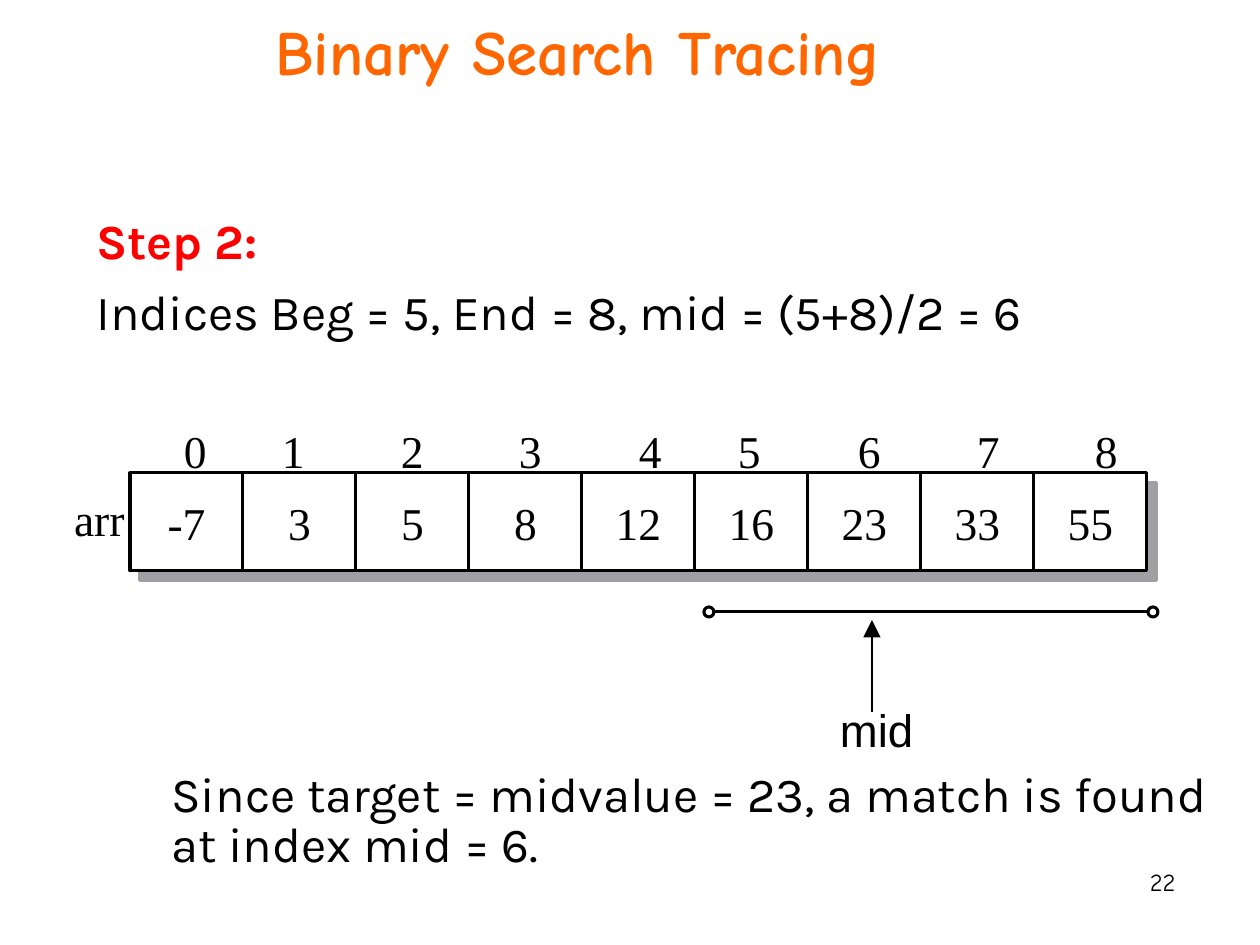
"""Build the slide that traces step 2 of a binary search."""
from lxml.etree import SubElement
from pptx import Presentation
from pptx.dml.color import RGBColor
from pptx.enum.shapes import MSO_CONNECTOR, MSO_SHAPE
from pptx.enum.text import MSO_ANCHOR, MSO_AUTO_SIZE, PP_ALIGN
from pptx.oxml.ns import qn
from pptx.util import Pt

PX = 914400 // 126
BLACK = RGBColor(0x00, 0x00, 0x00)
WHITE = RGBColor(0xFF, 0xFF, 0xFF)
GRAY = RGBColor(0xA0, 0xA0, 0xA4)
RED = RGBColor(0xFF, 0x00, 0x00)
ORANGE = RGBColor(0xFF, 0x66, 0x00)
LINE_WIDTH = Pt(1.75)


def add_run(paragraph, text, size, font_name, color=BLACK, bold=False):
    run = paragraph.add_run()
    run.text = text
    run.font.size = Pt(size)
    run.font.name = font_name
    run.font.color.rgb = color
    run.font.bold = bold


def add_text_frame(left, top, width, height, inset=True):
    box = slide.shapes.add_textbox(left * PX, top * PX, width * PX, height * PX)
    frame = box.text_frame
    frame.word_wrap = inset
    if not inset:
        frame.auto_size = MSO_AUTO_SIZE.SHAPE_TO_FIT_TEXT
        frame.margin_left = frame.margin_right = 0
        frame.margin_top = frame.margin_bottom = 0
    return frame


presentation = Presentation()
presentation.slide_width = 1260 * PX
presentation.slide_height = 945 * PX
slide = presentation.slides.add_slide(presentation.slide_layouts[5])

title = slide.shapes.title
title.left, title.top, title.width, title.height = 53 * PX, 21 * PX, 1050 * PX, 73 * PX
title.text_frame.vertical_anchor = MSO_ANCHOR.BOTTOM
title.text_frame.auto_size = MSO_AUTO_SIZE.NONE
paragraph = title.text_frame.paragraphs[0]
paragraph.alignment = PP_ALIGN.CENTER
add_run(paragraph, "Binary Search Tracing", 36, "Comic Neue", ORANGE, True)

step_frame = add_text_frame(84, 213, 1144, 135)
conclusion_frame = add_text_frame(63, 766, 1166, 113)
conclusion_frame.paragraphs[0]._p.get_or_add_pPr().set("marL", str(96 * PX))
for paragraph, text, color, bold in (
    (step_frame.paragraphs[0], "Step 2:", RED, True),
    (step_frame.add_paragraph(), "Indices Beg = 5, End = 8, mid = (5+8)/2 = 6", BLACK, False),
    (conclusion_frame.paragraphs[0],
     "Since target = midvalue = 23, a match is found at index mid = 6.", BLACK, False),
):
    paragraph.line_spacing = 0.85
    paragraph.space_before = Pt(12.2)
    add_run(paragraph, text, 28, "Karla", color, bold)

paragraph = add_text_frame(926, 861, 262, 63).paragraphs[0]
paragraph.alignment = PP_ALIGN.RIGHT
add_run(paragraph, "22", 14, "Comic Neue")

values = ["-7", "3", "5", "8", "12", "16", "23", "33", "55"]
array_left, cell_width = 130, 113
for offset_x, offset_y, fill, line in ((10, 10, GRAY, GRAY), (0, 0, WHITE, BLACK)):
    for index, value in enumerate(values):
        cell_left = array_left + index * cell_width
        cell = slide.shapes.add_shape(
            MSO_SHAPE.RECTANGLE, (cell_left + offset_x) * PX, (473 + offset_y) * PX,
            cell_width * PX, 98 * PX)
        cell.shadow.inherit = False
        cell.fill.solid()
        cell.fill.fore_color.rgb = fill
        cell.line.color.rgb = line
        cell.line.width = LINE_WIDTH
        if fill == WHITE:
            cell.text_frame.vertical_anchor = MSO_ANCHOR.MIDDLE
            paragraph = cell.text_frame.paragraphs[0]
            paragraph.alignment = PP_ALIGN.CENTER
            add_run(paragraph, value, 26, "Times New Roman")

index_lefts = [184, 282, 401, 519, 639, 738, 858, 977, 1095]
labels = [(left, 423, 23, str(index), "Times New Roman")
          for index, left in enumerate(index_lefts)]
labels += [(74, 491, 54, "arr", "Times New Roman"), (840, 702, 80, "mid", "Arial")]
for left, top, width, text, font_name in labels:
    frame = add_text_frame(left, top, width, 54, inset=False)
    add_run(frame.paragraphs[0], text, 26, font_name)

for start_x, start_y, end_x, end_y, width, has_arrow in (
    (714, 612, 1148, 612, 1.75, False),
    (872, 712, 872, 620, 1.39, True),
):
    connector = slide.shapes.add_connector(
        MSO_CONNECTOR.STRAIGHT, start_x * PX, start_y * PX, end_x * PX, end_y * PX)
    connector.line.color.rgb = BLACK
    connector.line.width = Pt(width)
    if has_arrow:
        arrowhead = SubElement(connector.line._get_or_add_ln(), qn("a:tailEnd"))
        for name, setting in (("type", "triangle"), ("w", "lg"), ("len", "lg")):
            arrowhead.set(name, setting)
    SubElement(connector._element.spPr, qn("a:effectLst"))

for left in (704, 1148):
    endpoint = slide.shapes.add_shape(MSO_SHAPE.OVAL, left * PX, 607 * PX, 10 * PX, 10 * PX)
    endpoint.shadow.inherit = False
    endpoint.fill.background()
    endpoint.line.color.rgb = BLACK
    endpoint.line.width = LINE_WIDTH

presentation.save("out.pptx")
